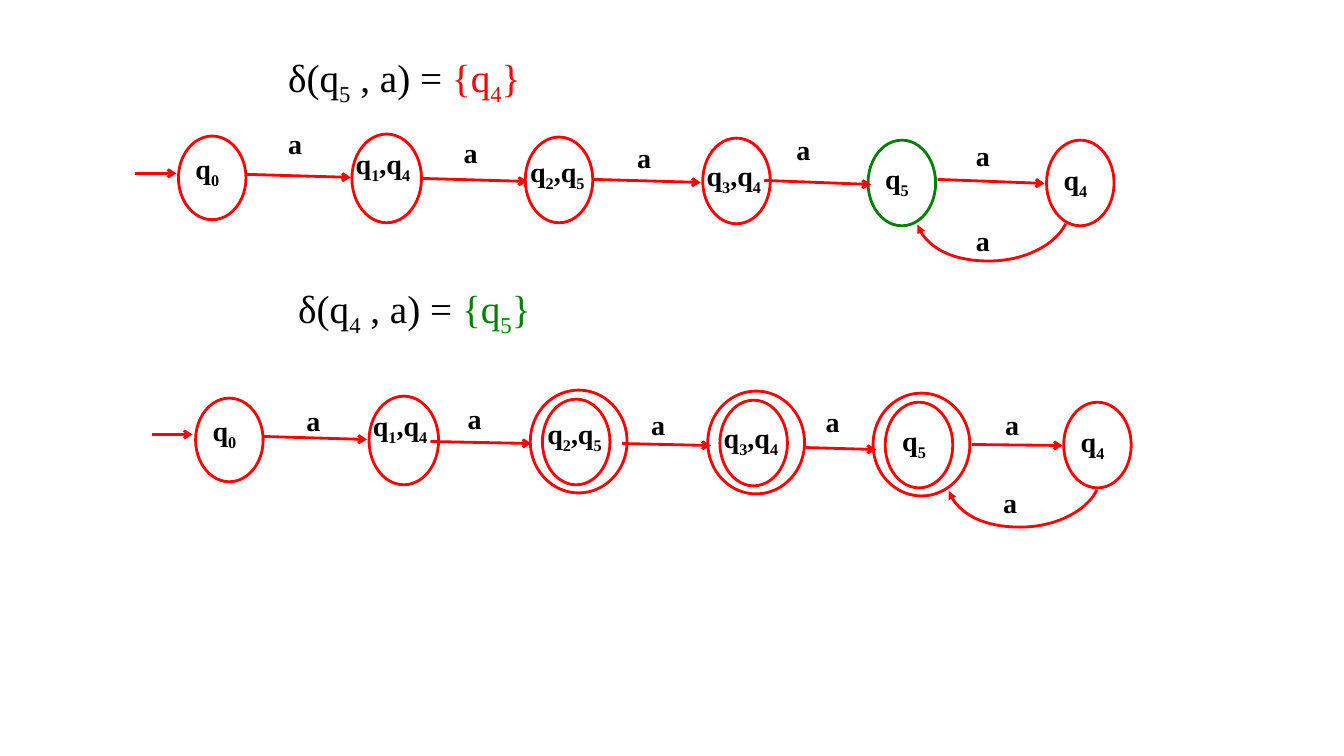
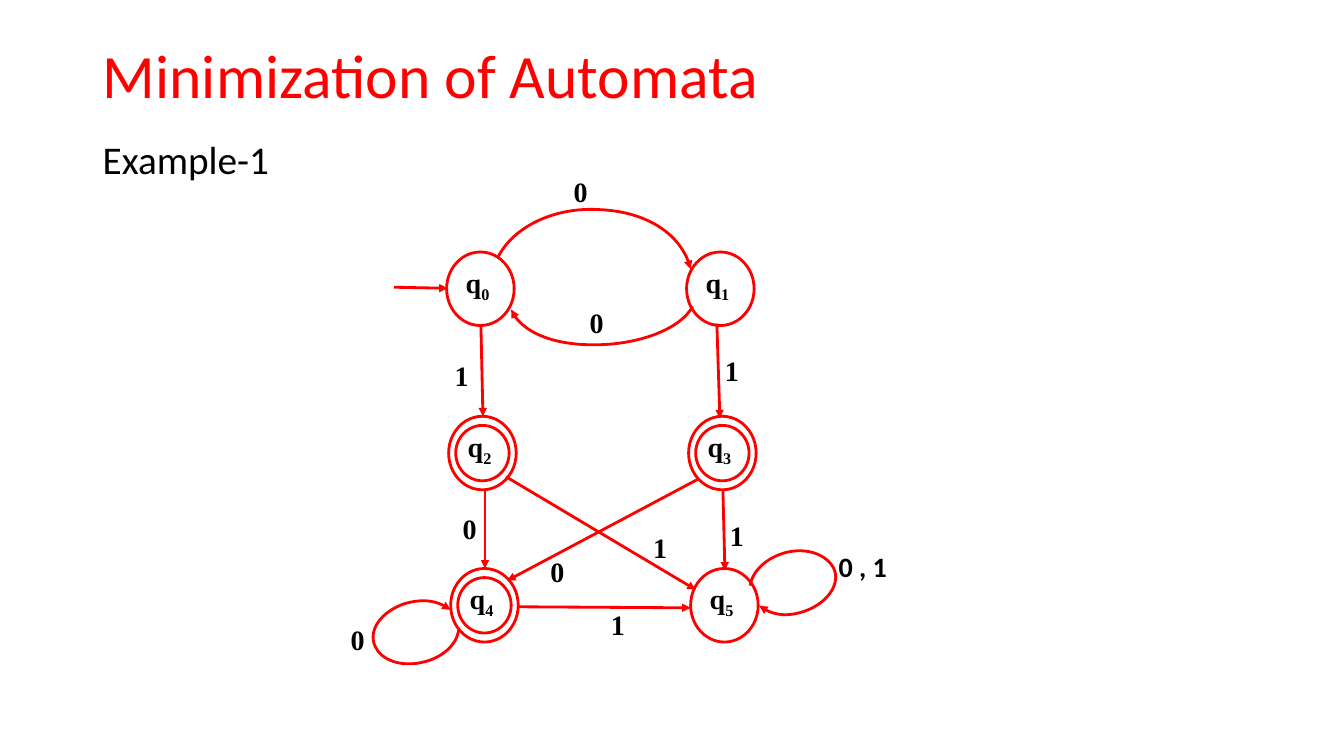
from dataclasses import dataclass
from typing import Any

from lxml import etree
from pptx import Presentation
from pptx.dml.color import RGBColor
from pptx.enum.shapes import MSO_CONNECTOR, MSO_SHAPE
from pptx.enum.text import MSO_ANCHOR, PP_ALIGN
from pptx.oxml.ns import qn
from pptx.util import Inches, Pt

OVAL = MSO_SHAPE.OVAL
STRAIGHT = MSO_CONNECTOR.STRAIGHT
LEFT = PP_ALIGN.LEFT
MIDDLE = MSO_ANCHOR.MIDDLE

RED, GREEN, BLACK = "FF0000", "008000", "000000"
SERIF, SANS = "Times New Roman", "Calibri"
LINE_WIDTH = 2
LABEL_SIZE = (0.37, 0.34)

# Chain states: text, left, top, width, height, text offset x and y
CHAIN_STATES = [
    ("q_0", 0, 0.02, 0.67, 0.83, 0.07, 0.1),
    ("q_1,q_4", 1.72, 0, 0.69, 0.88, -0.06, 0.07),
    ("q_2,q_5", 3.44, 0.03, 0.67, 0.85, -0.05, 0.12),
    ("q_3,q_4", 5.2, 0.04, 0.67, 0.85, -0.06, 0.15),
    ("q_5", 6.84, 0.06, 0.67, 0.85, 0.07, 0.16),
    ("q_4", 8.61, 0.06, 0.67, 0.85, 0.07, 0.17),
]
RETURN_ARC = [(8.8, 0.89), (8.7, 1.1), (8.39, 1.26), (8.04, 1.26),
              (7.69, 1.26), (7.4, 1.11), (7.33, 0.9)]


def color(hex_code):
    return RGBColor.from_string(hex_code)


def set_font(paragraph, size, name, bold=False, hex_code=BLACK):
    font = paragraph.font
    font.size, font.name, font.bold = Pt(size), name, bold
    font.color.rgb = color(hex_code)


def add_runs(paragraph, text, hex_code=None):
    """Add text in which the character after each underscore is a subscript."""
    first, *rest = text.split("_")
    pieces = [(first, False)]
    for part in rest:
        pieces += [(part[0], True), (part[1:], False)]
    for piece, subscript in pieces:
        if not piece:
            continue
        run = paragraph.add_run()
        run.text = piece
        if hex_code:
            run.font.color.rgb = color(hex_code)
        if subscript:
            run._r.get_or_add_rPr().set("baseline", "-25000")


def add_text(slide, text, left, top, width, height, size, name, bold=False):
    box = slide.shapes.add_textbox(
        Inches(left), Inches(top), Inches(width), Inches(height))
    box.text_frame.word_wrap = True
    paragraph = box.text_frame.paragraphs[0]
    add_runs(paragraph, text)
    set_font(paragraph, size, name, bold)
    return paragraph


def style_line(line, hex_code=RED, head=None):
    line.color.rgb = color(hex_code)
    line.width = Pt(LINE_WIDTH)
    if head:
        etree.SubElement(line._get_or_add_ln(), qn("a:tailEnd"), type=head)


@dataclass
class Diagram:
    """A state diagram whose parts are placed from its top left corner."""
    slide: Any
    left: float
    top: float
    head: str

    def at(self, x, y):
        return Inches(self.left + x), Inches(self.top + y)

    def ring(self, x, y, width, height, hex_code=RED):
        oval = self.slide.shapes.add_shape(
            OVAL, *self.at(x, y), Inches(width), Inches(height))
        oval.shadow.inherit = False
        oval.fill.background()
        style_line(oval.line, hex_code)

    def label(self, text, x, y, size=LABEL_SIZE, name=SERIF):
        add_text(self.slide, text, self.left + x, self.top + y, *size,
                 20, name, bold=True)

    def arrow(self, x1, y1, x2, y2):
        connector = self.slide.shapes.add_connector(
            STRAIGHT, *self.at(x1, y1), *self.at(x2, y2))
        style_line(connector.line, head=self.head)
        etree.SubElement(connector._element.spPr, qn("a:effectLst"))

    def curve(self, points):
        """Draw Bézier segments: a start, then two controls and an end each."""
        start, *others = [self.at(x, y) for x, y in points]
        builder = self.slide.shapes.build_freeform(*start)
        builder.add_line_segments(others, close=False)
        arc = builder.convert_to_shape()
        steps = list(arc._element.iter(qn("a:lnTo")))
        for i in range(0, len(steps), 3):
            bezier = etree.Element(qn("a:cubicBezTo"))
            steps[i].addprevious(bezier)
            for step in steps[i:i + 3]:
                bezier.append(step[0])
                step.getparent().remove(step)
        arc.shadow.inherit = False
        arc.fill.background()
        style_line(arc.line, head="triangle")


def add_formula(slide, left, top, argument, result, hex_code):
    paragraph = add_text(slide, f"δ({argument} , a) = ", left, top, 4, 0.6,
                         28, SERIF)
    add_runs(paragraph, f"{{{result}}}", hex_code)


def add_chain(slide, left, top, arrows, labels, arc_shift, colors, finals):
    diagram = Diagram(slide, left, top, "arrow")
    for text, x, y, width, height, text_x, text_y in CHAIN_STATES:
        diagram.ring(x, y, width, height, colors.get(text, RED))
        if text in finals:
            diagram.ring(x - 0.12, y - 0.09, 0.96, 1.02)
        diagram.label(text, x + text_x, y + text_y, (0.87, 0.6))
    for ends in arrows:
        diagram.arrow(*ends)
    shift_x, shift_y = arc_shift
    diagram.curve([(x + shift_x, y + shift_y) for x, y in RETURN_ARC])
    for x, y in labels:
        diagram.label("a", x, y)


def add_minimization_diagram(slide, left, top):
    diagram = Diagram(slide, left, top, "triangle")
    for i in range(6):
        row, column = divmod(i, 2)
        x = 1.03 + 2.38 * column + 0.02 * row
        y = (0.8, 2.43, 3.94)[row]
        diagram.ring(x, y, 0.67, 0.73)
        if i in (2, 3, 4):
            diagram.ring(x + 0.07, y + 0.09, 0.53, 0.55)
        diagram.label(f"q_{i}", x + 0.09, y + 0.08, (0.68, 0.52))

    for ends in [
        (0.51, 1.15, 1.04, 1.16),
        (1.37, 1.53, 1.39, 2.43),
        (3.71, 1.51, 3.74, 2.45),
        (1.41, 3.16, 1.41, 3.94),
        (3.77, 3.15, 3.79, 3.96),
        (1.73, 4.32, 3.45, 4.33),
        (1.62, 3.03, 3.5, 4.15),
        (3.53, 3.05, 1.63, 4.06),
    ]:
        diagram.arrow(*ends)

    q0_to_q1 = [(1.54, 0.85), (1.69, 0.55), (2.1, 0.35), (2.55, 0.38),
                (3.01, 0.4), (3.38, 0.65), (3.45, 0.97)]
    q1_to_q0 = [(3.47, 1.34), (3.35, 1.56), (2.96, 1.71), (2.54, 1.72),
                (2.11, 1.73), (1.75, 1.58), (1.67, 1.37)]
    q4_loop = [(1.15, 4.55), (1.13, 4.7), (0.98, 4.83), (0.79, 4.87),
               (0.58, 4.92), (0.38, 4.85), (0.32, 4.71),
               (0.25, 4.55), (0.38, 4.37), (0.61, 4.29),
               (0.78, 4.24), (0.96, 4.26), (1.07, 4.35)]
    q5_loop = [(4.04, 4.11), (4.06, 3.97), (4.2, 3.83), (4.4, 3.78),
               (4.6, 3.73), (4.8, 3.8), (4.87, 3.94),
               (4.94, 4.09), (4.81, 4.28), (4.59, 4.36),
               (4.42, 4.42), (4.24, 4.4), (4.13, 4.31)]
    for points in (q0_to_q1, q1_to_q0, q4_loop, q5_loop):
        diagram.curve(points)

    for text, x, y in [
        ("0", 2.19, -0.02), ("0", 2.35, 1.28), ("1", 1.01, 1.81),
        ("1", 3.69, 1.76), ("0", 1.09, 3.33), ("1", 3.74, 3.39),
        ("0", 1.96, 3.75), ("1", 2.98, 3.51), ("1", 2.56, 4.28),
        ("0", -0.02, 4.43),
    ]:
        diagram.label(text, x, y)
    diagram.label("0 , 1", 4.82, 3.7, (0.8, 0.44), SANS)


def build_chain_slide(prs):
    slide = prs.slides.add_slide(prs.slide_layouts[6])
    add_formula(slide, 2.76, 0.48, "q_5", "q_4", RED)
    add_formula(slide, 2.86, 2.77, "q_4", "q_5", GREEN)
    add_chain(
        slide, 1.77, 1.33,
        arrows=[(-0.43, 0.39, -0.02, 0.39), (0.68, 0.4, 1.71, 0.43),
                (2.4, 0.44, 3.46, 0.47), (4.12, 0.45, 5.18, 0.48),
                (5.81, 0.46, 6.87, 0.5), (7.53, 0.45, 8.59, 0.49)],
        labels=[(0.99, -0.12), (2.73, -0.03), (4.45, 0.01),
                (6.03, -0.06), (7.81, -0.01), (7.81, 0.84)],
        arc_shift=(0, 0), colors={"q_5": GREEN}, finals=())
    add_chain(
        slide, 1.94, 3.93,
        arrows=[(-0.43, 0.38, -0.03, 0.38), (0.67, 0.4, 1.7, 0.43),
                (2.33, 0.45, 3.33, 0.47), (4.23, 0.47, 5.11, 0.49),
                (6.05, 0.51, 6.75, 0.53), (7.7, 0.48, 8.6, 0.49)],
        labels=[(1, 0.02), (2.6, 0), (4.42, 0.06),
                (6.15, 0.03), (7.93, 0.06), (7.91, 0.84)],
        arc_shift=(0.14, 0.04), colors={},
        finals=("q_2,q_5", "q_3,q_4", "q_5"))


def build_minimization_slide(prs):
    slide = prs.slides.add_slide(prs.slide_layouts[5])
    title = slide.shapes.title
    title.left, title.top = Inches(0.92), Inches(0.33)
    title.width, title.height = Inches(11.5), Inches(0.9)
    title.text_frame.text = "Minimization of Automata"
    title.text_frame.vertical_anchor = MIDDLE
    heading = title.text_frame.paragraphs[0]
    heading.alignment = LEFT
    heading.line_spacing = 0.9
    set_font(heading, 44, SANS, hex_code=RED)
    example = add_text(slide, "Example-1", 0.92, 1.35, 11.5, 0.6, 28, SANS)
    example.line_spacing = 0.9
    add_minimization_diagram(slide, 3.4, 1.7)


def main():
    prs = Presentation()
    prs.slide_width, prs.slide_height = Inches(13.33), Inches(7.5)
    build_chain_slide(prs)
    build_minimization_slide(prs)
    prs.save("out.pptx")


if __name__ == "__main__":
    main()
